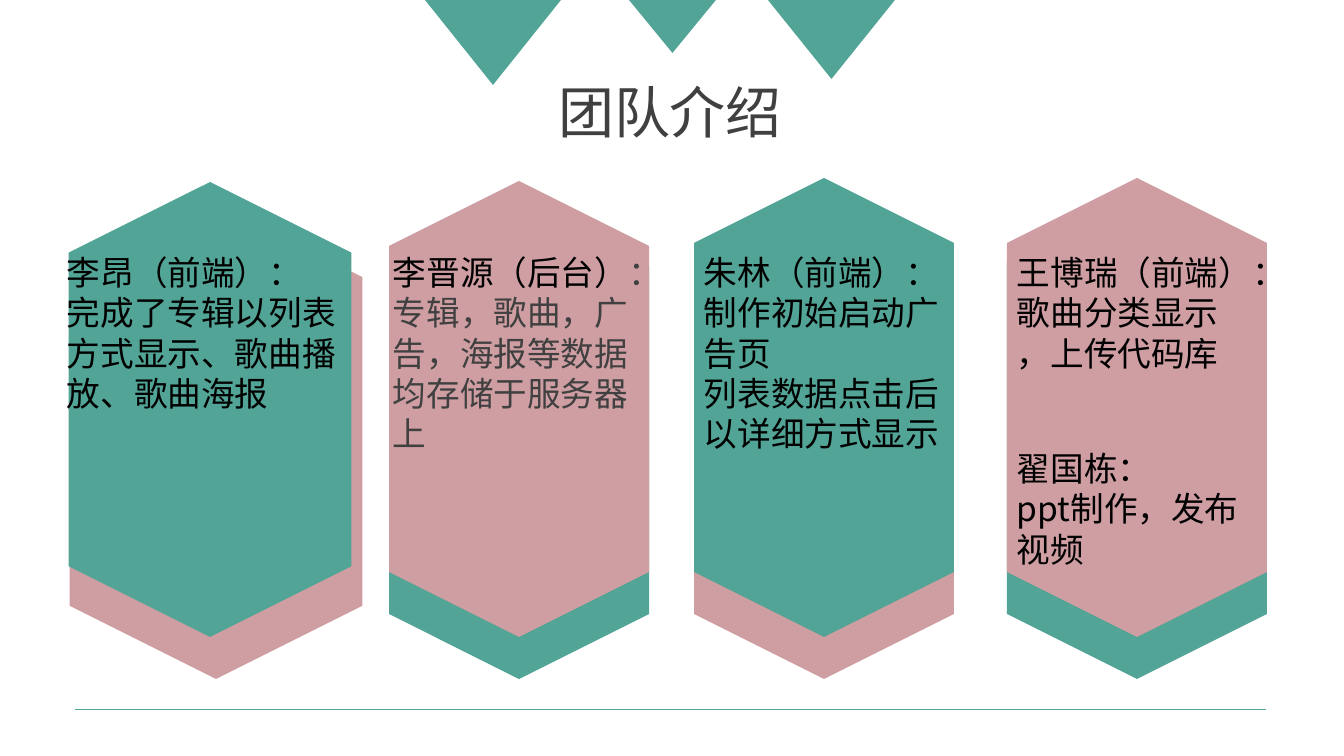
"""Build the team introduction slide with four hexagon columns."""
import pptx
import pptx.dml.color
import pptx.enum.shapes
import pptx.enum.text
import pptx.oxml.ns
import pptx.util
from lxml import etree

PX = 12192000 / 1344
FONT = "Noto Sans CJK SC"
TEAL = pptx.dml.color.RGBColor(0x52, 0xA4, 0x96)
PINK = pptx.dml.color.RGBColor(0xCE, 0x9E, 0xA3)
GRAY = pptx.dml.color.RGBColor(0x40, 0x40, 0x40)
BLACK = pptx.dml.color.RGBColor(0, 0, 0)
SHAPES = pptx.enum.shapes.MSO_SHAPE


def emu(*lengths):
    return [pptx.util.Emu(round(length * PX)) for length in lengths]


def add_span(para, text, size=24, color=BLACK):
    span = para.add_run()
    span.text = text
    span.font.size = pptx.util.Pt(size)
    span.font.name = FONT
    span.font.color.rgb = color
    east_asian = etree.SubElement(span.font._element, pptx.oxml.ns.qn("a:ea"))
    east_asian.set("typeface", FONT)


deck = pptx.Presentation()
deck.slide_width, deck.slide_height = emu(1344, 756)
page = deck.slides.add_slide(deck.slide_layouts[5])

title = page.shapes.title
title.left, title.top, title.width, title.height = emu(548, 72, 244, 78)
title.text_frame.word_wrap = False
title.text_frame.auto_size = pptx.enum.text.MSO_AUTO_SIZE.NONE
title.text_frame.vertical_anchor = pptx.enum.text.MSO_ANCHOR.TOP
add_span(title.text_frame.paragraphs[0], "团队介绍", size=40, color=GRAY)

triangles = [(425, 136, 85), (629, 87, 53), (768, 127, 79)]
for left, width, height in triangles:
    triangle = page.shapes.add_shape(
        SHAPES.ISOSCELES_TRIANGLE, *emu(left, 0, width, height))
    triangle._element.spPr.find(pptx.oxml.ns.qn("a:xfrm")).set("flipV", "1")
    triangle.shadow.inherit = False
    triangle.fill.solid()
    triangle.fill.fore_color.rgb = TEAL
    triangle.line.fill.background()

BACK_BOTTOM, FRONT_BOTTOM = 679, 637
hexagons = [
    (216, 204, 293, BACK_BOTTOM, PINK),
    (519, 201, 260, BACK_BOTTOM, TEAL),
    (824, 197, 260, BACK_BOTTOM, PINK),
    (1137, 197, 260, BACK_BOTTOM, TEAL),
    (210, 182, 283, FRONT_BOTTOM, TEAL),
    (519, 181, 260, FRONT_BOTTOM, PINK),
    (824, 178, 260, FRONT_BOTTOM, TEAL),
    (1137, 178, 260, FRONT_BOTTOM, PINK),
]
for center, top, width, bottom, color in hexagons:
    height = bottom - top
    middle = (top + bottom) / 2
    hexagon = page.shapes.add_shape(
        SHAPES.HEXAGON,
        *emu(center - height / 2, middle - width / 2, height, width))
    hexagon.rotation = 90
    hexagon.shadow.inherit = False
    hexagon.fill.solid()
    hexagon.fill.fore_color.rgb = color
    hexagon.line.fill.background()

members = [
    (57, 247, 305, 173, [
        [("李昂（前端）：", BLACK)],
        [("完成了专辑以列表方式显示、歌曲播放、歌曲海报", BLACK)]]),
    (383, 247, 277, 214, [
        [("李晋源（后台）", BLACK), ("：", GRAY)],
        [("专辑，歌曲，广告，海报等数据均存储于服务器上", GRAY)]]),
    (694, 247, 260, 214, [
        [("朱林（前端）：", BLACK)],
        [("制作初始启动广告页", BLACK)],
        [("列表数据点击后以详细方式显示", BLACK)]]),
    (1007, 247, 260, 132, [
        [("王博瑞（前端）：", BLACK)],
        [("歌曲分类显示", BLACK)],
        [("，上传代码库", BLACK)]]),
    (1007, 443, 260, 132, [
        [("翟国栋：", BLACK)],
        [("ppt制作，发布视频", BLACK)]]),
]
for left, top, width, height, lines in members:
    box = page.shapes.add_textbox(*emu(left, top, width, height))
    frame = box.text_frame
    frame.word_wrap = True
    for index, line in enumerate(lines):
        para = frame.add_paragraph() if index else frame.paragraphs[0]
        for text, color in line:
            add_span(para, text, color=color)

rule = page.shapes.add_connector(
    pptx.enum.shapes.MSO_CONNECTOR.STRAIGHT, *emu(75, 709, 1266, 709))
rule.line.color.rgb = TEAL
rule.line.width = pptx.util.Pt(0.5)
etree.SubElement(rule._element.spPr, pptx.oxml.ns.qn("a:effectLst"))

deck.save("out.pptx")
